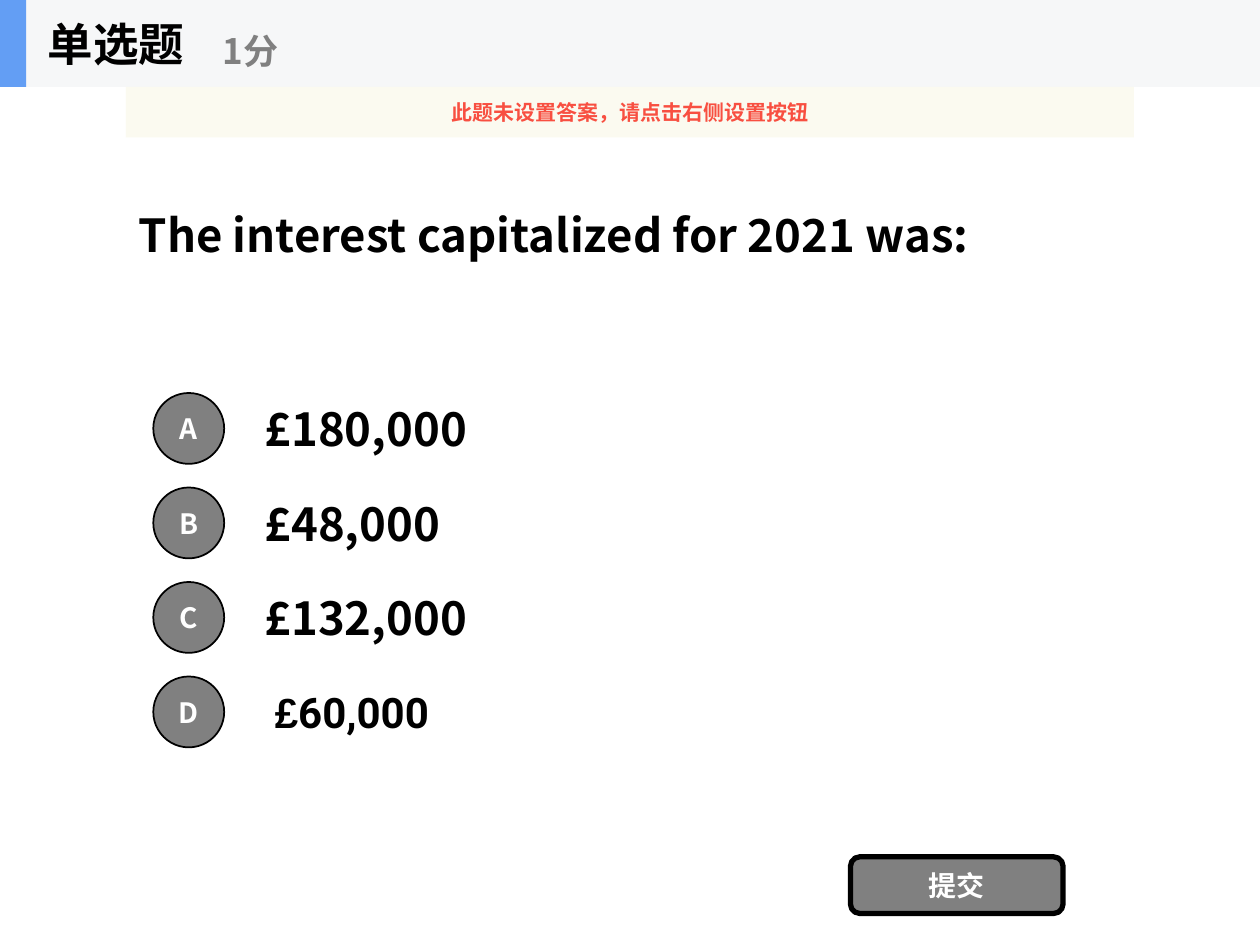
from lxml import etree
from pptx import Presentation
from pptx.dml.color import RGBColor
from pptx.enum.shapes import MSO_SHAPE
from pptx.enum.text import MSO_ANCHOR, MSO_AUTO_SIZE, PP_ALIGN
from pptx.oxml.ns import qn
from pptx.util import Pt

RECT, OVAL, ROUNDED = MSO_SHAPE.RECTANGLE, MSO_SHAPE.OVAL, MSO_SHAPE.ROUNDED_RECTANGLE
LEFT, CENTER, MIDDLE = PP_ALIGN.LEFT, PP_ALIGN.CENTER, MSO_ANCHOR.MIDDLE
NO_FIT = MSO_AUTO_SIZE.NONE

BLACK = RGBColor(0x00, 0x00, 0x00)
WHITE = RGBColor(0xFF, 0xFF, 0xFF)
GRAY = RGBColor(0x80, 0x80, 0x80)
BLUE = RGBColor(0x63, 0x9E, 0xF4)
HEADER = RGBColor(0xF6, 0xF7, 0xF8)
CREAM = RGBColor(0xFB, 0xFA, 0xEF)
RED = RGBColor(0xF8, 0x4F, 0x41)
FONT = "Noto Sans CJK SC"

QUESTION = "The interest capitalized for 2021 was:"
KIND, SCORE = "单选题", "1分"
WARNING = "此题未设置答案，请点击右侧设置按钮"
SUBMIT = "提交"
OPTIONS = [
    ("A", 144, 26, [("£180,000", FONT)]),
    ("B", 144, 26, [("£48,000", FONT)]),
    ("C", 144, 26, [("£132,000", FONT)]),
    ("D", 150, 24, [("£", "Arial"), ("60,000", "Roboto")]),
]

WIDTH, HEIGHT = 720, 540
HEADER_HEIGHT = 49.7
MARGIN = 72
OPTION_TOP, OPTION_STEP, OPTION_HEIGHT = 219.6, 54, 50.4
BADGE_LEFT, BADGE_SIZE = 87.6, 40.5


def place(shape, left, top, width, height):
    shape.left, shape.top = Pt(left), Pt(top)
    shape.width, shape.height = Pt(width), Pt(height)


def write(shape, spans, size, color, align=LEFT, wrap=True):
    frame = shape.text_frame
    frame.auto_size = NO_FIT
    frame.word_wrap = wrap
    frame.vertical_anchor = MIDDLE
    para = frame.paragraphs[0]
    para.alignment = align
    para.font.size, para.font.bold = Pt(size), True
    para.font.color.rgb = color
    para.font.name = FONT
    for text, name in spans:
        span = para.add_run()
        span.text = text
        span.font.name = name
        latin = span.font._element.find(qn("a:latin"))
        east_asian = etree.Element(qn("a:ea"), typeface=name)
        latin.addnext(east_asian)


def add_text(page, area, spans, size, color, wrap=True):
    box = page.shapes.add_textbox(*map(Pt, area))
    write(box, spans, size, color, wrap=wrap)


def add_block(page, kind, area, fill, outline=0):
    block = page.shapes.add_shape(kind, *map(Pt, area))
    block.shadow.inherit = False
    block.fill.solid()
    block.fill.fore_color.rgb = fill
    if outline:
        block.line.color.rgb = BLACK
        block.line.width = Pt(outline)
    else:
        block.line.fill.background()
    return block


def main():
    deck = Presentation()
    deck.slide_width, deck.slide_height = Pt(WIDTH), Pt(HEIGHT)
    page = deck.slides.add_slide(deck.slide_layouts[5])

    add_block(page, RECT, (0, 0, WIDTH, HEADER_HEIGHT), HEADER)
    add_block(page, RECT, (0, 0, 15, HEADER_HEIGHT), BLUE)
    add_text(page, (20.2, 0, 150, HEADER_HEIGHT), [(KIND, FONT)], 26, BLACK, False)
    add_text(page, (120.2, 8.6, 180, 40.3), [(SCORE, FONT)], 20, GRAY, False)

    title = page.shapes.title
    place(title, MARGIN, HEADER_HEIGHT, WIDTH - 2 * MARGIN, 168.5)
    write(title, [(QUESTION, FONT)], 26, BLACK)

    for row, (letter, left, size, spans) in enumerate(OPTIONS):
        top = OPTION_TOP + row * OPTION_STEP
        add_text(page, (left, top, 504, OPTION_HEIGHT), spans, size, BLACK)
        badge_top = top + (OPTION_HEIGHT - BADGE_SIZE) / 2
        badge = add_block(page, OVAL, (BADGE_LEFT, badge_top, BADGE_SIZE, BADGE_SIZE), GRAY, 1)
        write(badge, [(letter, FONT)], 16, WHITE, CENTER, False)

    button = add_block(page, ROUNDED, (486, 489.6, 121.5, 32.4), GRAY, 3)
    write(button, [(SUBMIT, FONT)], 16, WHITE, CENTER)

    banner = add_block(page, RECT, (MARGIN, HEADER_HEIGHT, WIDTH - 2 * MARGIN, 28.8), CREAM)
    color = banner.fill._xPr.find(qn("a:solidFill"))[0]
    etree.SubElement(color, qn("a:alpha"), val="90000")
    write(banner, [(WARNING, FONT)], 12, RED, CENTER)

    deck.save("out.pptx")


if __name__ == "__main__":
    main()
